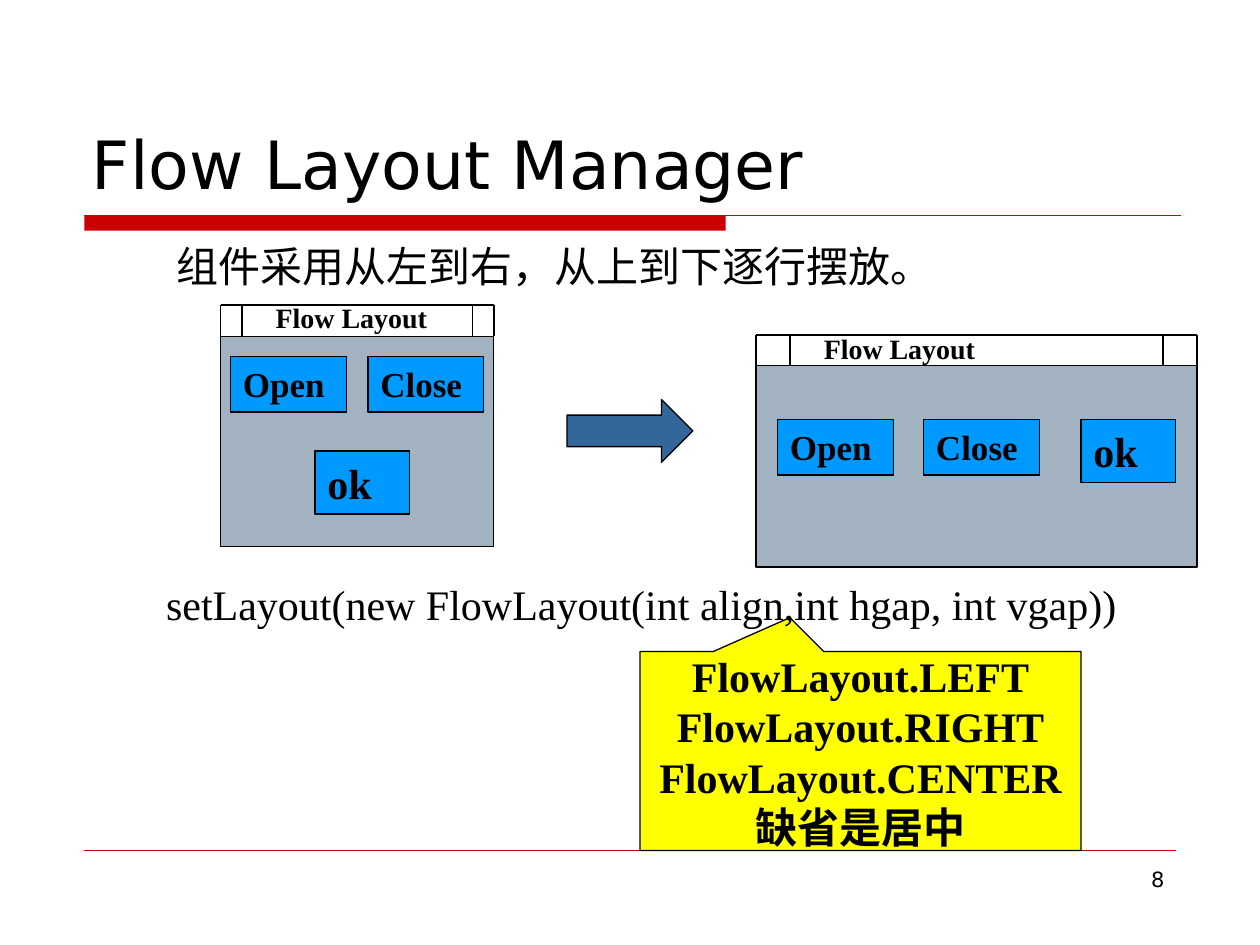
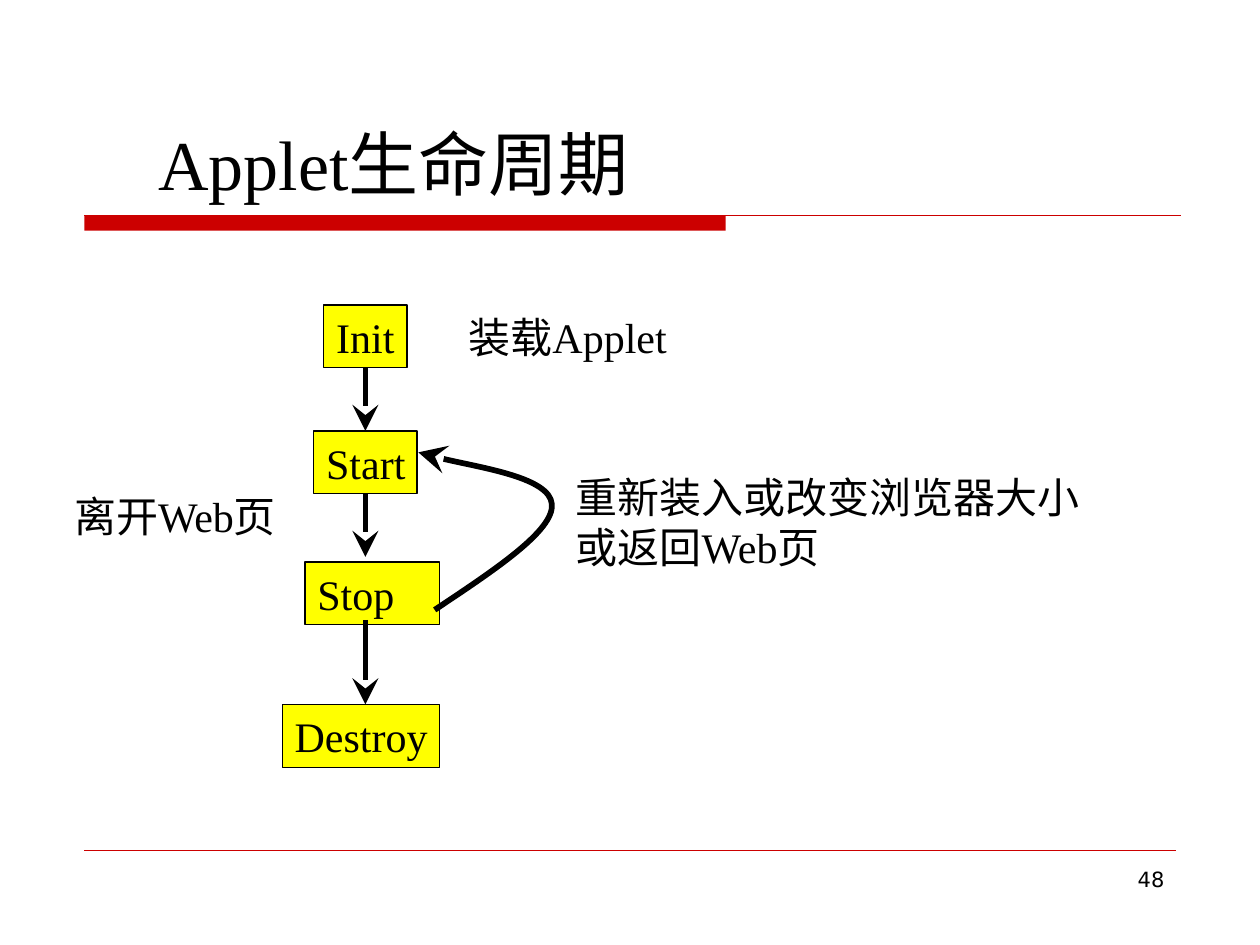
"""Build two lecture slides: the flow layout manager and the applet life cycle."""
from dataclasses import dataclass

from lxml import etree
from pptx import Presentation
from pptx import util as u
from pptx.dml.color import RGBColor
from pptx.enum import shapes, text
from pptx.oxml.ns import qn

PX = 9144


@dataclass(frozen=True)
class Theme:
    ink: str = "000000"
    paper: str = "FFFFFF"
    accent: str = "CC0000"
    panel: str = "A3B2C1"
    button: str = "0099FF"
    arrow: str = "336699"
    note: str = "FFFF00"
    sans: str = "DejaVu Sans"
    serif: str = "Times New Roman"
    title: int = 38
    heading: int = 40
    body: int = 24
    label: int = 20
    caption: int = 16
    number: int = 12
    hairline: float = 0.25
    outline: float = 0.75
    band: float = 1
    flow: float = 3
    loop: float = 3.25


theme = Theme()


def place(parent, area, words="", size=theme.body, kind=None, fill=None, line=theme.ink,
          font=theme.serif, bold=False, wrap=False, align=text.PP_ALIGN.LEFT,
          anchor=text.MSO_ANCHOR.TOP):
    """Add a text box, or a preset shape when a kind is given."""
    area = [u.Emu(n * PX) for n in area]
    if kind is None:
        box = parent.add_textbox(*area)
    else:
        box = parent.add_shape(kind, *area)
        box.shadow.inherit = False
        box.fill.solid()
        box.fill.fore_color.rgb = RGBColor.from_string(fill)
        if line:
            box.line.color.rgb = RGBColor.from_string(line)
            box.line.width = u.Pt(theme.outline)
        else:
            box.line.fill.background()
    frame = box.text_frame
    frame.word_wrap = wrap
    frame.vertical_anchor = anchor
    if kind is None and not wrap:
        frame.auto_size = text.MSO_AUTO_SIZE.SHAPE_TO_FIT_TEXT
    if words:
        frame.text = words
        for para in frame.paragraphs:
            para.alignment = align
            para.font.name = font
            para.font.size = u.Pt(size)
            para.font.bold = bold
            para.font.color.rgb = RGBColor.from_string(theme.ink)
    return box


def rule(parent, ends, color=theme.ink, width=theme.outline, head=False):
    """Add a straight line, with an arrowhead at its end if asked."""
    line = parent.add_connector(shapes.MSO_CONNECTOR.STRAIGHT, *[u.Emu(n * PX) for n in ends])
    line.line.color.rgb = RGBColor.from_string(color)
    line.line.width = u.Pt(width)
    if head:
        etree.SubElement(line.line._get_or_add_ln(), qn("a:tailEnd"), HEAD)
    etree.SubElement(line._element.spPr, qn("a:effectLst"))
    return line


RECT = shapes.MSO_SHAPE.RECTANGLE
HEAD = {"type": "stealth", "w": "lg", "len": "lg"}

deck = Presentation()
deck.slide_width, deck.slide_height = u.Emu(1000 * PX), u.Emu(750 * PX)
pages = []
for number in ("8", "48"):
    page = deck.slides.add_slide(deck.slide_layouts[6])
    page.background.fill.solid()
    page.background.fill.fore_color.rgb = RGBColor.from_string(theme.paper)
    place(page.shapes, (67, 171, 509, 12), kind=RECT, fill=theme.accent, line=None)
    rule(page.shapes, (67, 171, 937, 171), theme.accent, theme.band)
    rule(page.shapes, (67, 675, 933, 675), theme.accent, theme.hairline)
    place(page.shapes, (717, 683, 217, 52), number, theme.number, font=theme.sans,
          wrap=True, align=text.PP_ALIGN.RIGHT)
    pages.append(page.shapes)
layout_page, cycle_page = pages

place(layout_page, (63, 33, 875, 133), "Flow Layout Manager", theme.title, font=theme.sans,
      wrap=True, anchor=text.MSO_ANCHOR.BOTTOM)
place(layout_page, (130, 186, 702, 50), "组件采用从左到右，从上到下逐行摆放。", wrap=True)

windows = [
    ((175, 267, 217, 167), 242, 17, [(183, 283), (292, 283), (250, 358)]),
    ((600, 290, 350, 160), 266, 27, [(617, 333), (733, 333), (858, 333)]),
]
buttons = [
    ("Open", theme.label, (92, 44)),
    ("Close", theme.label, (92, 44)),
    ("ok", theme.body, (75, 50)),
]
for body, bar_top, cell, spots in windows:
    window = layout_page.add_group_shape().shapes
    left, top, width, height = body
    right = left + width
    place(window, body, kind=RECT, fill=theme.panel)
    rule(window, (left, bar_top, right, bar_top))
    for x in (left, left + cell, right - cell, right):
        rule(window, (x, bar_top, x, top))
    place(window, (left + cell + 17, bar_top - 8, 150, 37), "Flow Layout", theme.caption,
          bold=True, wrap=True)
    for (words, size, extent), spot in zip(buttons, spots):
        place(window, spot + extent, words, size, RECT, theme.button, bold=True, wrap=True)

place(layout_page, (450, 317, 100, 50), kind=shapes.MSO_SHAPE.RIGHT_ARROW, fill=theme.arrow)
callout = place(layout_page, (508, 517, 350, 158),
                "FlowLayout.LEFT\nFlowLayout.RIGHT\nFlowLayout.CENTER\n缺省是居中",
                kind=shapes.MSO_SHAPE.RECTANGULAR_CALLOUT, fill=theme.note, bold=True,
                align=text.PP_ALIGN.CENTER, anchor=text.MSO_ANCHOR.MIDDLE)
callout.adjustments[0], callout.adjustments[1] = -0.16, -0.67
place(layout_page, (122, 454, 790, 50), "setLayout(new FlowLayout(int align,int hgap, int vgap))",
      wrap=True)

place(cycle_page, (116, 91, 420, 77), "Applet生命周期", theme.heading, wrap=True)
states = {}
for name, left, top, width in [("Init", 257, 242, 66), ("Start", 249, 342, 82),
                               ("Stop", 242, 446, 107), ("Destroy", 224, 559, 125)]:
    states[name] = place(cycle_page, (left, top, width, 50), name, kind=RECT,
                         fill=theme.note, wrap=name == "Stop")

load, leave, finish = [
    rule(cycle_page, (290, start, 290, end), width=theme.flow, head=True)
    for start, end in [(292, 342), (392, 442), (492, 559)]
]
load.begin_connect(states["Init"], 2)
load.end_connect(states["Start"], 0)
leave.begin_connect(states["Start"], 2)

outline = cycle_page.build_freeform(345, 484, scale=PX)
outline.add_line_segments([(393, 452), (440, 421), (438, 400),
                           (436, 379), (349, 365), (332, 359)], close=False)
restart = outline.convert_to_shape()
restart.shadow.inherit = False
restart.fill.background()
restart.line.color.rgb = RGBColor.from_string(theme.ink)
restart.line.width = u.Pt(theme.loop)
etree.SubElement(restart.line._get_or_add_ln(), qn("a:tailEnd"), HEAD)
steps = list(restart._element.iter(qn("a:lnTo")))
track = steps[0].getparent()
for first in (0, 3):
    curve = etree.SubElement(track, qn("a:cubicBezTo"))
    for step in steps[first:first + 3]:
        curve.append(step[0])
        track.remove(step)

for area, words in [((362, 242, 200, 50), "装载Applet"),
                    ((447, 369, 435, 90), "重新装入或改变浏览器大小\n或返回Web页"),
                    ((49, 384, 210, 50), "离开Web页")]:
    place(cycle_page, area, words, wrap=True)

deck.save("out.pptx")
